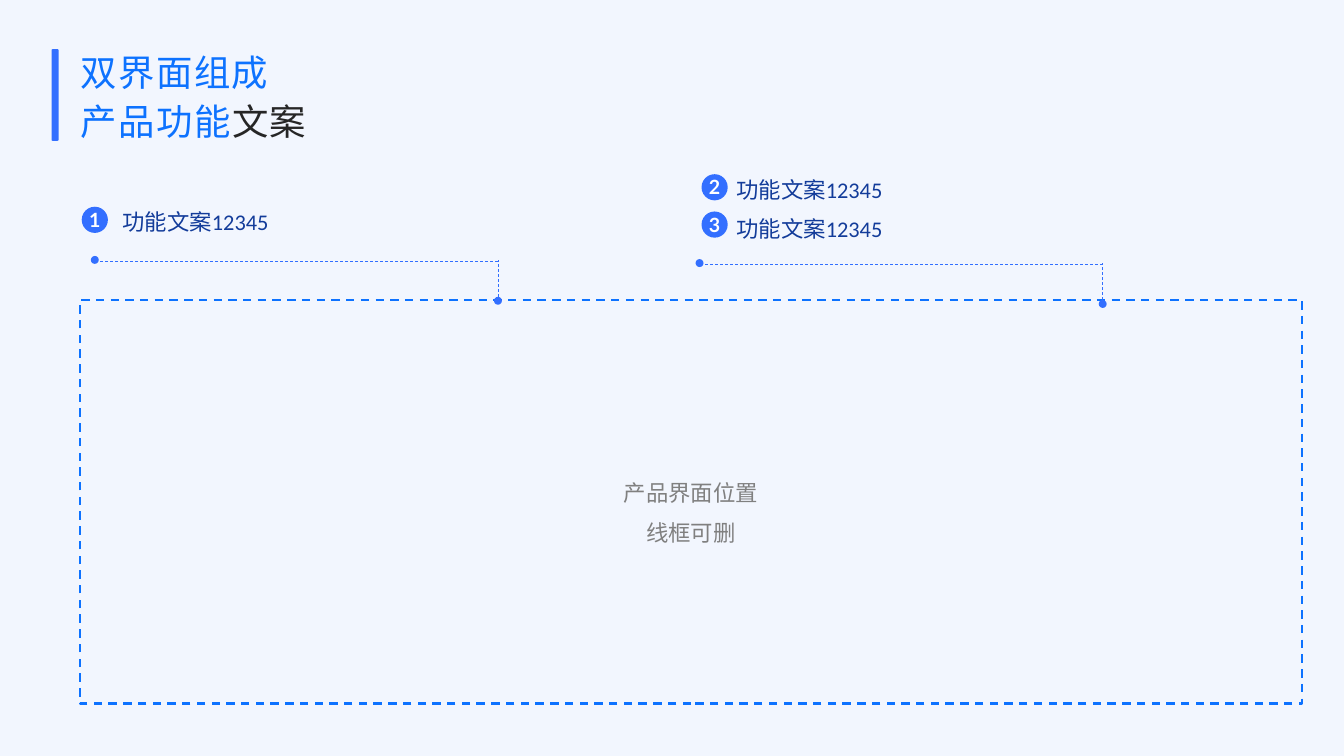
"""Build a slide that links product feature labels to an interface frame."""
from dataclasses import dataclass

from lxml.etree import SubElement
from pptx import Presentation
from pptx.dml.color import RGBColor
from pptx.enum.dml import MSO_LINE
from pptx.enum.shapes import MSO_CONNECTOR, MSO_SHAPE
from pptx.enum.text import MSO_ANCHOR, MSO_AUTO_SIZE, PP_ALIGN
from pptx.oxml.ns import qn
from pptx.util import Cm, Pt


@dataclass(frozen=True)
class Theme:
    background: str = "F2F6FE"
    accent: str = "336FFF"
    bright: str = "0D72FF"
    dark: str = "262626"
    label: str = "133C9A"
    muted: str = "808080"
    white: str = "FFFFFF"
    body_font: str = "Calibri"
    number_font: str = "Lato"
    title_size: int = 26
    body_size: int = 16
    number_size: int = 14


THEME = Theme()
TITLE = [("双界面组成\v产品功能", THEME.bright), ("文案", THEME.dark)]
FEATURES = [
    {"number": "1", "text": "功能文案12345", "disc": (2.06, 5.21), "label": (2.84, 4.98, 8.76, 1.02)},
    {"number": "2", "text": "功能文案12345", "disc": (17.68, 4.39), "label": (18.31, 4.19, 10.72, 1.02)},
    {"number": "3", "text": "功能文案12345", "disc": (17.68, 5.33), "label": (18.31, 5.16, 10.72, 1.02)},
]
LEADERS = [(2.29, 6.45), (17.53, 6.53)]
FRAME_TEXT = "产品界面位置线框可删"

SLIDE = (33.87, 19.05)
TITLE_BOX = (1.78, 1.09, 20.4, 2.57)
TITLE_BAR = (1.3, 1.24, 0.18, 2.31)
FRAME = (2.01, 7.57, 30.81, 10.16)
FRAME_LABEL = (15.37, 11.61, 4.09, 2.18)
DISC = 0.66
NUMBER_BOX = (0.76, 0.86)
DOT = 0.2
LEADER_RUN, LEADER_DROP, LEADER_OFFSET = 10.16, 1.03, 0.14


def lengths(values):
    return [Cm(value) for value in values]


def write(box, spans, *, size=THEME.body_size, font=THEME.body_font, bold=False,
          align=PP_ALIGN.LEFT, spacing=1.0, anchor=MSO_ANCHOR.TOP, wrap=True, tracking=0):
    frame = box.text_frame
    frame.word_wrap = wrap
    frame.auto_size = MSO_AUTO_SIZE.NONE
    frame.vertical_anchor = anchor
    para = frame.paragraphs[0]
    para.alignment = align
    para.line_spacing = spacing
    for text, color in spans:
        for index, line in enumerate(text.split("\v")):
            if index:
                para.add_line_break()
            span = para.add_run()
            span.text = line
            span.font.size = Pt(size)
            span.font.name = font
            span.font.bold = bold
            span.font.color.rgb = RGBColor.from_string(color)
            if tracking:
                span.font._element.set("spc", str(tracking * 100))


def add_solid(shapes, kind, bounds):
    shape = shapes.add_shape(kind, *lengths(bounds))
    shape.shadow.inherit = False
    shape.fill.solid()
    shape.fill.fore_color.rgb = RGBColor.from_string(THEME.accent)
    shape.line.fill.background()


def style_line(line, color, width):
    line.color.rgb = RGBColor.from_string(color)
    line.width = Pt(width)
    line.dash_style = MSO_LINE.DASH


def add_dashed(shapes, start, end):
    connector = shapes.add_connector(MSO_CONNECTOR.STRAIGHT, *lengths(start + end))
    style_line(connector.line, THEME.accent, 0.5)
    SubElement(connector._element.spPr, qn("a:effectLst"))


def add_badge(page, number, disc):
    shapes = page.shapes.add_group_shape().shapes
    left, top = disc
    add_solid(shapes, MSO_SHAPE.OVAL, (left, top, DISC, DISC))
    width, height = NUMBER_BOX
    bounds = (left + (DISC - width) / 2, top + (DISC - height) / 2, width, height)
    write(shapes.add_textbox(*lengths(bounds)), [(number, THEME.white)], size=THEME.number_size,
          font=THEME.number_font, bold=True, align=PP_ALIGN.CENTER, wrap=False)


def add_leader(page, left, top):
    shapes = page.shapes.add_group_shape().shapes
    corner = left + LEADER_RUN + DOT / 2
    level = top + LEADER_OFFSET
    add_dashed(shapes, (corner, level), (left + DOT, level))
    add_solid(shapes, MSO_SHAPE.OVAL, (left, top, DOT, DOT))
    add_solid(shapes, MSO_SHAPE.OVAL, (left + LEADER_RUN, top + LEADER_DROP, DOT, DOT))
    add_dashed(shapes, (corner, top + LEADER_DROP), (corner, top + DOT / 2))


def add_frame(page):
    write(page.shapes.add_textbox(*lengths(FRAME_LABEL)), [(FRAME_TEXT, THEME.muted)],
          align=PP_ALIGN.CENTER, spacing=1.5)
    frame = page.shapes.add_shape(MSO_SHAPE.RECTANGLE, *lengths(FRAME))
    frame.shadow.inherit = False
    frame.fill.background()
    style_line(frame.line, THEME.bright, 1.5)


def main():
    deck = Presentation()
    deck.slide_width, deck.slide_height = lengths(SLIDE)
    page = deck.slides.add_slide(deck.slide_layouts.get_by_name("Title Only"))
    page.background.fill.solid()
    page.background.fill.fore_color.rgb = RGBColor.from_string(THEME.background)

    add_solid(page.shapes, MSO_SHAPE.ROUNDED_RECTANGLE, TITLE_BAR)
    title = page.shapes.title
    title.left, title.top, title.width, title.height = lengths(TITLE_BOX)
    write(title, TITLE, size=THEME.title_size, spacing=1.1, anchor=MSO_ANCHOR.MIDDLE, tracking=1)

    for feature in FEATURES:
        add_badge(page, feature["number"], feature["disc"])
        box = page.shapes.add_textbox(*lengths(feature["label"]))
        write(box, [(feature["text"], THEME.label)], spacing=1.2)
    add_frame(page)
    for left, top in LEADERS:
        add_leader(page, left, top)
    deck.save("out.pptx")


if __name__ == "__main__":
    main()
